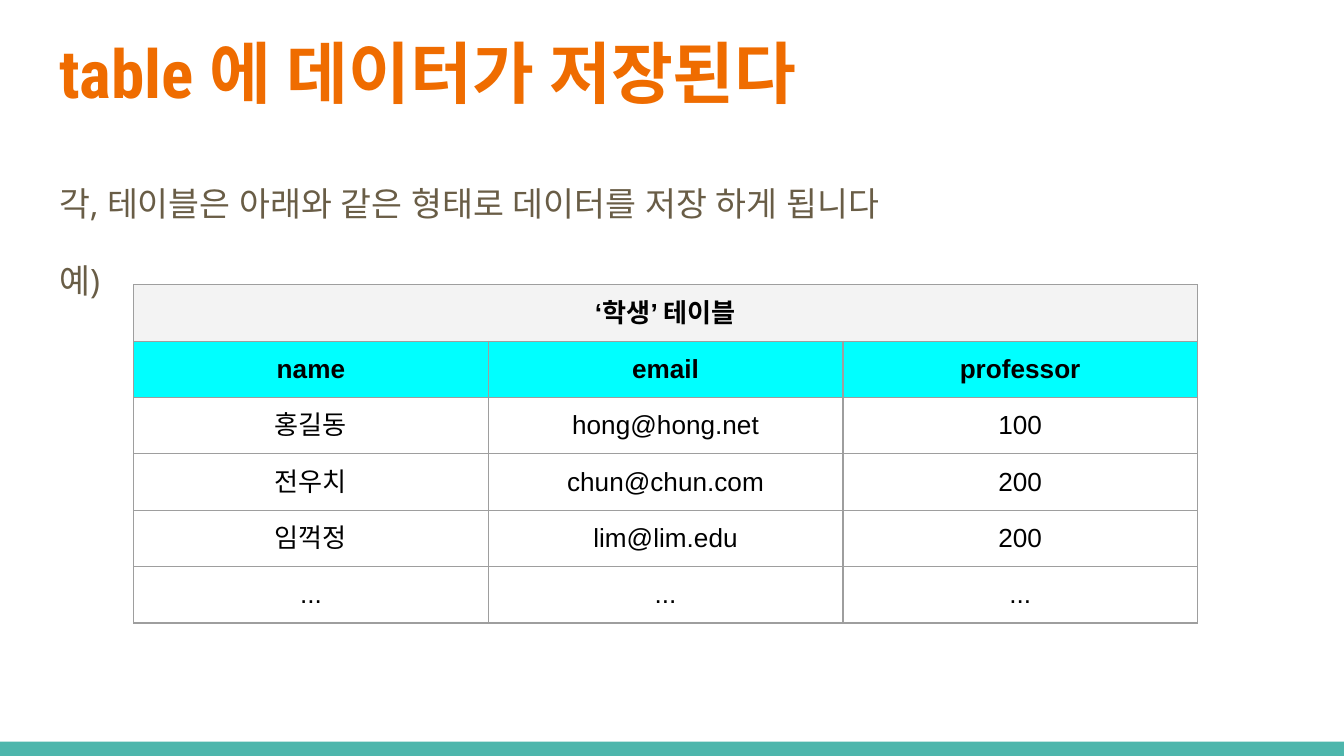
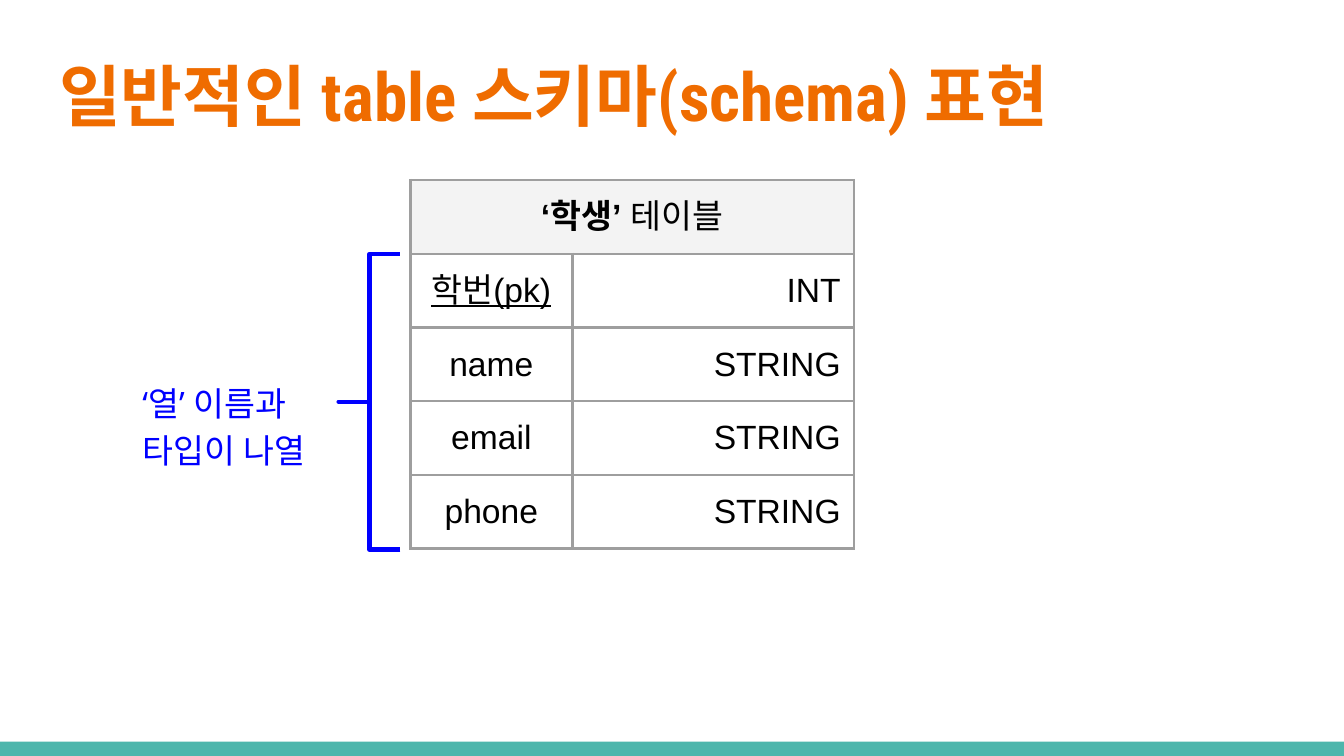
"""Builds two slides on how a table stores data and how its schema is drawn."""
from dataclasses import dataclass

from lxml.etree import SubElement
from pptx import Presentation
from pptx.dml.color import RGBColor as RGB
from pptx.enum.shapes import MSO_SHAPE as Shape
from pptx.enum.text import MSO_ANCHOR as Anchor, MSO_AUTO_SIZE as AutoSize, PP_ALIGN as Align
from pptx.oxml import parse_xml
from pptx.oxml.ns import nsdecls, qn
from pptx.util import Pt


@dataclass(frozen=True)
class Theme:
    title: str = "EF6C00"
    body: str = "695D46"
    band: str = "4DB6AC"
    note: str = "0000FF"
    ink: str = "000000"
    grid: str = "9E9E9E"
    caption_fill: str = "F3F3F3"
    header_fill: str = "00FFFF"
    title_font: str = "Roboto Condensed"
    body_font: str = "Open Sans"
    table_font: str = "Arial"
    title_size: int = 36
    body_size: int = 18
    data_size: int = 14
    inset: float = 7.2


theme = Theme()


def write(paragraph, text, *, font, size, color, bold=False, underline=False, align=Align.LEFT):
    paragraph.alignment = align
    run = paragraph.add_run()
    run.text = text
    run.font.name, run.font.size = font, Pt(size)
    run.font.bold, run.font.underline = bold, underline
    run.font.color.rgb = RGB.from_string(color)
    for script in ("a:ea", "a:cs"):
        SubElement(run._r.get_or_add_rPr(), qn(script)).set("typeface", font)


def draw_table(slide, left, top, widths, row_height, rows, *, size, line, aligns,
               anchor, has_header=False, caption_bold=False):
    table = slide.shapes.add_table(len(rows) + 1, len(widths), Pt(left), Pt(top),
                                   Pt(sum(widths)), Pt(row_height * (len(rows) + 1))).table
    table.first_row = table.horz_banding = False
    for column, width in zip(table.columns, widths):
        column.width = Pt(width)
    for row in table.rows:
        row.height = Pt(row_height)
    for cell in table.iter_cells():
        cell.margin_left = cell.margin_right = Pt(theme.inset)
        cell.margin_top = cell.margin_bottom = Pt(theme.inset)
        cell.vertical_anchor = anchor
        for side in ("lnL", "lnR", "lnT", "lnB"):
            cell._tc.get_or_add_tcPr().append(parse_xml(
                f'<a:{side} {nsdecls("a")} w="{Pt(line)}"><a:solidFill>'
                f'<a:srgbClr val="{theme.grid}"/></a:solidFill></a:{side}>'))
        cell.fill.background()

    look = dict(font=theme.table_font, size=size, color=theme.ink)
    caption = table.cell(0, 0)
    caption.merge(table.cell(0, len(widths) - 1))
    caption.fill.solid()
    caption.fill.fore_color.rgb = RGB.from_string(theme.caption_fill)
    wording = caption.text_frame.paragraphs[0]
    write(wording, "‘학생’", bold=True, align=Align.CENTER, **look)
    write(wording, " 테이블", bold=caption_bold, align=Align.CENTER, **look)

    for r, row in enumerate(rows, 1):
        is_header = has_header and r == 1
        for c, (text, align) in enumerate(zip(row, aligns)):
            cell = table.cell(r, c)
            write(cell.text_frame.paragraphs[0], text, bold=is_header,
                  underline="(pk)" in text, align=align, **look)
            if is_header:
                cell.fill.solid()
                cell.fill.fore_color.rgb = RGB.from_string(theme.header_fill)


prs = Presentation()
prs.slide_width, prs.slide_height = Pt(720), Pt(405)
data_slide = prs.slides.add_slide(prs.slide_layouts[1])
schema_slide = prs.slides.add_slide(prs.slide_layouts[5])

band = data_slide.shapes.add_shape(Shape.RECTANGLE, 0, Pt(397.4), prs.slide_width, Pt(7.6))
band.shadow.inherit = False
band.fill.solid()
band.fill.fore_color.rgb = RGB.from_string(theme.band)
band.line.fill.background()
prs.slide_master.shapes.element.append(band.element)

body = data_slide.placeholders[1]
for block, top, height, anchor in (
    (data_slide.shapes.title, 10.8, 55.4, Anchor.MIDDLE),
    (schema_slide.shapes.title, 23, 55.4, Anchor.MIDDLE),
    (body, 87.8, 44.6, Anchor.TOP),
):
    block.left, block.top, block.width, block.height = Pt(24.5), Pt(top), Pt(671), Pt(height)
    frame = block.text_frame
    frame.margin_left = frame.margin_right = Pt(theme.inset)
    frame.margin_top = frame.margin_bottom = Pt(theme.inset)
    frame.auto_size, frame.word_wrap = AutoSize.NONE, True
    frame.vertical_anchor = anchor

for slide, heading in ((data_slide, "table 에 데이터가 저장된다"),
                       (schema_slide, "일반적인 table 스키마(schema) 표현")):
    write(slide.shapes.title.text_frame.paragraphs[0], heading, font=theme.title_font,
          size=theme.title_size, color=theme.title, bold=True)

intro = body.text_frame.paragraphs[0]
example = body.text_frame.add_paragraph()
for paragraph, text, gap in ((intro, "각, 테이블은 아래와 같은 형태로 데이터를 저장 하게 됩니다", 0),
                             (example, "예)", 16)):
    write(paragraph, text, font=theme.body_font, size=theme.body_size, color=theme.body)
    paragraph.line_spacing = 1.15
    paragraph.space_before = paragraph.space_after = Pt(gap)
    properties = paragraph._p.get_or_add_pPr()
    properties.set("marL", "0")
    properties.set("indent", "0")
    SubElement(properties, qn("a:buNone"))

students = [
    ("name", "email", "professor"),
    ("홍길동", "hong@hong.net", "100"),
    ("전우치", "chun@chun.com", "200"),
    ("임꺽정", "lim@lim.edu", "200"),
    ("...", "...", "..."),
]
draw_table(data_slide, 71.6, 152.6, [190] * 3, 30.2, students, size=theme.data_size, line=0.75,
           aligns=[Align.CENTER] * 3, anchor=Anchor.TOP, has_header=True, caption_bold=True)

schema = [("학번(pk)", "INT"), ("name", "STRING"), ("email", "STRING"), ("phone", "STRING")]
draw_table(schema_slide, 219.8, 96.5, [86.8, 151], 39.5, schema, size=theme.body_size, line=1.5,
           aligns=[Align.CENTER, Align.RIGHT], anchor=Anchor.MIDDLE)

columns_brace = schema_slide.shapes.add_shape(Shape.LEFT_BRACE, Pt(181.4), Pt(136), Pt(33.1), Pt(158.4))
columns_brace.adjustments[0], columns_brace.adjustments[1] = 0, 0.5
columns_brace.shadow.inherit = False
columns_brace.fill.background()
columns_brace.line.color.rgb = RGB.from_string(theme.note)
columns_brace.line.width = Pt(2.25)

columns_note = schema_slide.shapes.add_textbox(Pt(76.3), Pt(191.5), Pt(123.8), Pt(70.6)).text_frame
columns_note.word_wrap = True
columns_note.vertical_anchor = Anchor.MIDDLE
columns_note.margin_left = columns_note.margin_right = 0
columns_note.margin_top = columns_note.margin_bottom = 0
note = columns_note.paragraphs[0]
note.line_spacing, note.space_after = 1.15, Pt(16)
note_look = dict(font=theme.body_font, size=theme.body_size, color=theme.note)
write(note, "‘열’ 이름과", **note_look)
note.add_line_break()
write(note, "타입이 나열", **note_look)

prs.save("out.pptx")
